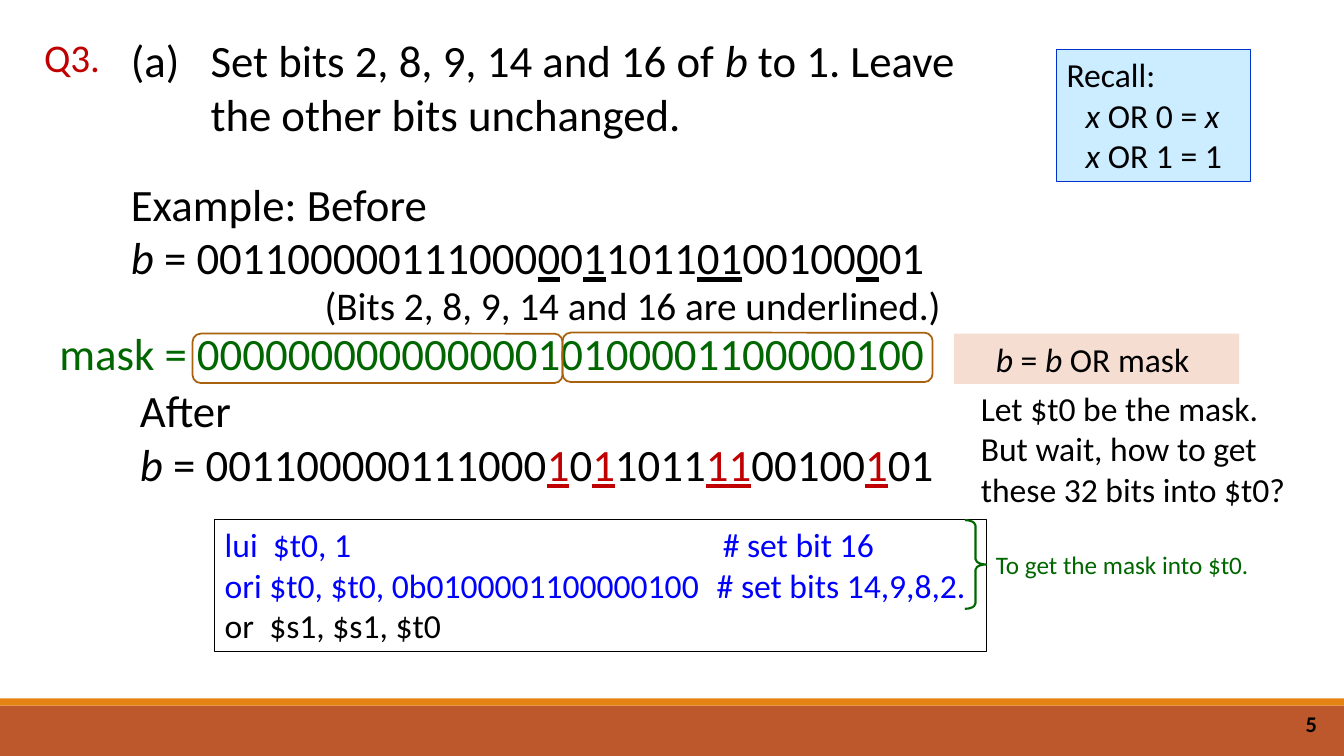
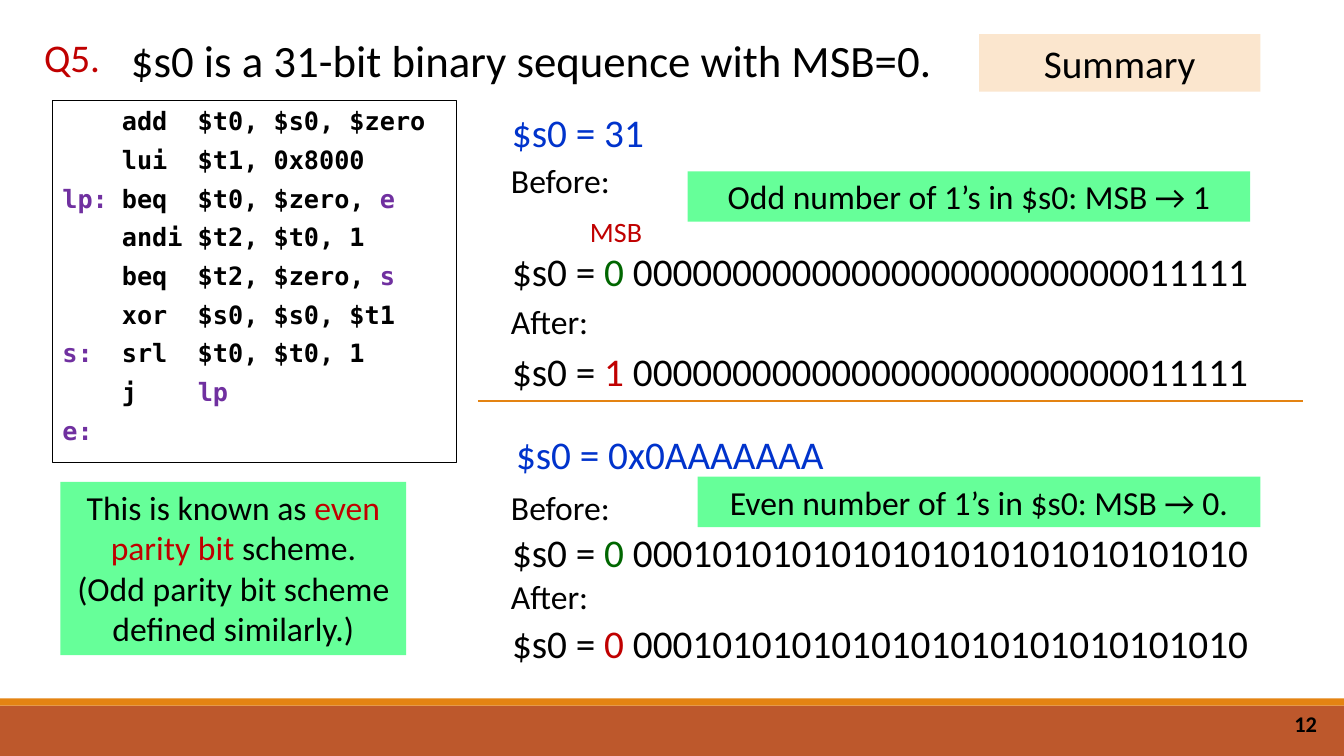
from itertools import cycle, groupby
from lxml import etree
from pptx import Presentation
from pptx.dml.color import RGBColor
from pptx.enum import shapes, text
from pptx.oxml.ns import qn
from pptx import util as u

ink = {
    "black": "000000", "white": "FFFFFF", "red": "C00000", "green": "006600",
    "blue": "0033CC", "code": "0000FF", "label": "7030A0", "rust": "BD582C",
    "gold": "E48312", "brown": "A9610D", "blush": "F5DDD2", "cream": "FBE6CE",
    "sky": "CCECFF", "mint": "66FF99",
}
form = shapes.MSO_SHAPE
left, mid, right = text.PP_ALIGN.LEFT, text.PP_ALIGN.CENTER, text.PP_ALIGN.RIGHT
cols, rows = 13.33, 7.5

deck = Presentation()
deck.slide_width, deck.slide_height = u.Inches(cols), u.Inches(rows)
cell = deck.slide_height / rows


def grid(*spots):
    return [u.Emu(round(spot * cell)) for spot in spots]


def box(page, at, lines=(), size=24, tint="black", fill=None, edge=None, wide=0.75,
        kind=None, side=left, face="Calibri", bold=False, tabs=((),), after=0, hang=0):
    if kind is None and not (fill or edge):
        shape = page.shapes.add_textbox(*grid(*at))
    else:
        shape = page.shapes.add_shape(kind or form.RECTANGLE, *grid(*at))
        shape.shadow.inherit = False
        if fill:
            shape.fill.solid()
            shape.fill.fore_color.rgb = RGBColor.from_string(ink[fill])
        else:
            shape.fill.background()
        if edge:
            shape.line.color.rgb = RGBColor.from_string(ink[edge])
            shape.line.width = u.Pt(wide)
        else:
            shape.line.fill.background()
    frame = shape.text_frame
    frame.word_wrap = True
    frame.vertical_anchor = text.MSO_ANCHOR.TOP
    for n, (line, stops) in enumerate(zip(lines, cycle(tabs))):
        para = frame.add_paragraph() if n else frame.paragraphs[0]
        para.alignment = side
        if after:
            para.space_after = u.Pt(after)
        props = para._p.get_or_add_pPr()
        if hang:
            props.set("marL", str(grid(hang)[0]))
            props.set("indent", str(grid(-hang)[0]))
        if stops:
            stop_list = etree.SubElement(props, qn("a:tabLst"))
            for stop in stops:
                etree.SubElement(stop_list, qn("a:tab"), pos=str(grid(stop)[0]), algn="l")
        for part in [line] if isinstance(line, str) else line:
            words, marks, tone = (part, "", tint) if isinstance(part, str) else part
            run = para.add_run()
            run.text = words
            font = run.font
            font.name, font.size = face, u.Pt(size)
            font.bold, font.italic, font.underline = bold, "i" in marks, "u" in marks
            font.color.rgb = RGBColor.from_string(ink[tone])
    return shape


pages = []
for quiz, number in (("Q3.", "5"), ("Q5.", "12")):
    page = deck.slides.add_slide(deck.slide_layouts[6])
    box(page, (0, 7, cols, 0.5), fill="rust")
    box(page, (0, 6.93, cols, 0.07), fill="gold")
    foot = box(page, (10.16, 6.98, 3, 0.4), [number], 16, side=right, bold=True)
    foot.text_frame.vertical_anchor = text.MSO_ANCHOR.MIDDLE
    box(page, (0.22, 0.28, 0.99, 0.57), [quiz], 28, "red", side=mid)
    pages.append(page)
bits, parity = pages

b, x = ("b", "i", "black"), ("x", "i", "black")
picked = (2, 8, 9, 14, 16)
mask = sum(1 << bit for bit in picked)
start = 0x30706D21

box(bits, (1.2, 0.28, 9.04, 1.18),
    [["(a) \tSet bits 2, 8, 9, 14 and 16 of ", b,
      " to 1. Leave the other bits unchanged."]], 32, hang=0.79)
for at, title, value, tone in (
        ((1.2, 1.7, 9.47, 1.18), "Example: Before", start, "black"),
        ((1.29, 3.75, 9.47, 1.18), "After", start | mask, "red")):
    line = [b, " = "]
    for hit, group in groupby(enumerate(f"{value:032b}"), lambda pair: 31 - pair[0] in picked):
        digits = "".join(digit for _, digit in group)
        line.append((digits, "u", tone) if hit else digits)
    box(bits, at, [title, line], 32)
box(bits, (3.12, 2.74, 7.55, 0.57), ["(Bits 2, 8, 9, 14 and 16 are underlined.)"], 28)
box(bits, (0.49, 3.18, 8.86, 0.64), [f"mask = {mask:032b}"], 32, "green")
box(bits, (9.46, 3.31, 2.83, 0.5),
    [[("b ", "i", "black"), "=", (" b", "i", "black"), " OR mask "]],
    fill="blush", side=mid)
box(bits, (9.63, 3.8, 3.4, 1.31),
    ["Let $t0 be the mask.", "But wait, how to get these 32 bits into $t0?"])
box(bits, (2.13, 5.15, 7.65, 1.31),
    ["lui  $t0, 1\t# set bit 16",
     f"ori $t0, $t0, 0b{mask & 0xFFFF:016b}\t# set bits 14,9,8,2.",
     [("or  $s1, $s1, $t0", "", "black")]],
    tint="code", edge="black", tabs=((4.94,), (4.88,), ()))
brace = box(bits, (9.57, 5.16, 0.21, 0.88), edge="green", wide=1.5, kind=form.RIGHT_BRACE)
brace.adjustments[0], brace.adjustments[1] = 0.255, 0.5
box(bits, (9.78, 5.4, 2.8, 0.4), ["To get the mask into $t0."], 18, "green")
for across, down in ((1.91, 3.31), (5.58, 3.3)):
    box(bits, (across, down, 3.67, 0.49), edge="brown", wide=1.25, kind=form.ROUNDED_RECTANGLE)
box(bits, (10.48, 0.49, 1.92, 1.31),
    ["Recall:", ["\t", x, " OR 0 = ", x], ["\t", x, " OR 1 = 1"]],
    fill="sky", edge="blue", tabs=((0.19,),))

box(parity, (1.2, 0.28, 8.51, 0.64), ["$s0 is a 31-bit binary sequence with MSB=0."], 32)
code = (
    ("", "add  $t0, $s0, $zero", ""),
    ("", "lui  $t1, 0x8000", ""),
    ("lp:", "beq  $t0, $zero, ", "e"),
    ("", "andi $t2, $t0, 1", ""),
    ("", "beq  $t2, $zero, ", "s"),
    ("", "xor  $s0, $s0, $t1", ""),
    ("s:", "srl  $t0, $t0, 1", ""),
    ("", "j    ", "lp"),
    ("e:", "", ""),
)
box(parity, (0.52, 1, 4.01, 3.59),
    [[(name + "\t", "", "label"), order] + ([(goal, "", "label")] if goal else [])
     for name, order, goal in code],
    18, fill="white", edge="black", face="DejaVu Sans Mono", bold=True,
    tabs=((0.59, 1.56),), after=6)
rule = parity.shapes.add_connector(shapes.MSO_CONNECTOR.STRAIGHT, *grid(4.74, 3.98, 12.92, 3.98))
rule.line.color.rgb = RGBColor.from_string(ink["gold"])
rule.line.width = u.Pt(1)
etree.SubElement(rule._element.spPr, qn("a:effectLst"))

cases = (
    ("31", 31, "1", (4.98, 1.03), (1.54, 2.4, 2.94, 3.4),
     "Odd number of 1’s in $s0: MSB → 1", (6.82, 1.7)),
    ("0x0AAAAAAA", 0x0AAAAAAA, "0", (5.02, 4.22), (4.78, 5.19, 5.66, 6.09),
     "Even number of 1’s in $s0: MSB → 0.", (6.92, 4.73)),
)
for name, value, top, head, downs, note, spot in cases:
    box(parity, (*head, 3.36, 0.57), [f"$s0 = {name}"], 28, "blue")
    states = (("Before:", "0", "green"), ("After:", top, "red"))
    for (label, msb, tone), over, under in zip(states, downs[::2], downs[1::2]):
        box(parity, (4.97, over, 1.46, 0.5), [label])
        box(parity, (4.98, under, 7.85, 0.57),
            [["$s0 = ", (msb, "", tone), f" {value:031b}"]], 28)
    box(parity, (*spot, 5.58, 0.5), [note], fill="mint", side=mid)
box(parity, (5.75, 2.08, 0.72, 0.44), ["MSB"], 20, "red", side=mid)
box(parity, (9.71, 0.34, 2.79, 0.57), ["Summary"], 28, fill="cream", side=mid)
box(parity, (0.6, 4.78, 3.43, 1.72),
    [["This is known as ", ("even parity bit", "", "red"), " scheme."],
     "(Odd parity bit scheme defined similarly.)"], fill="mint", side=mid)

deck.save("out.pptx")
